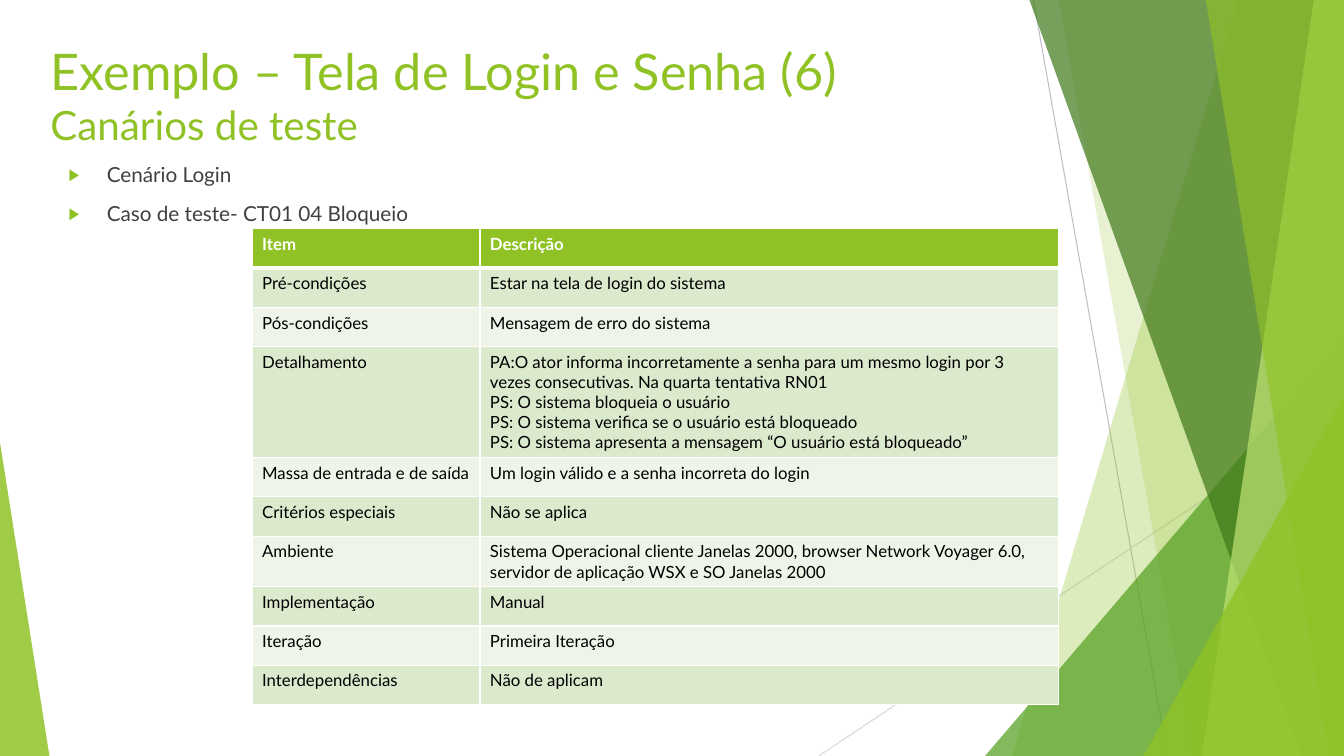
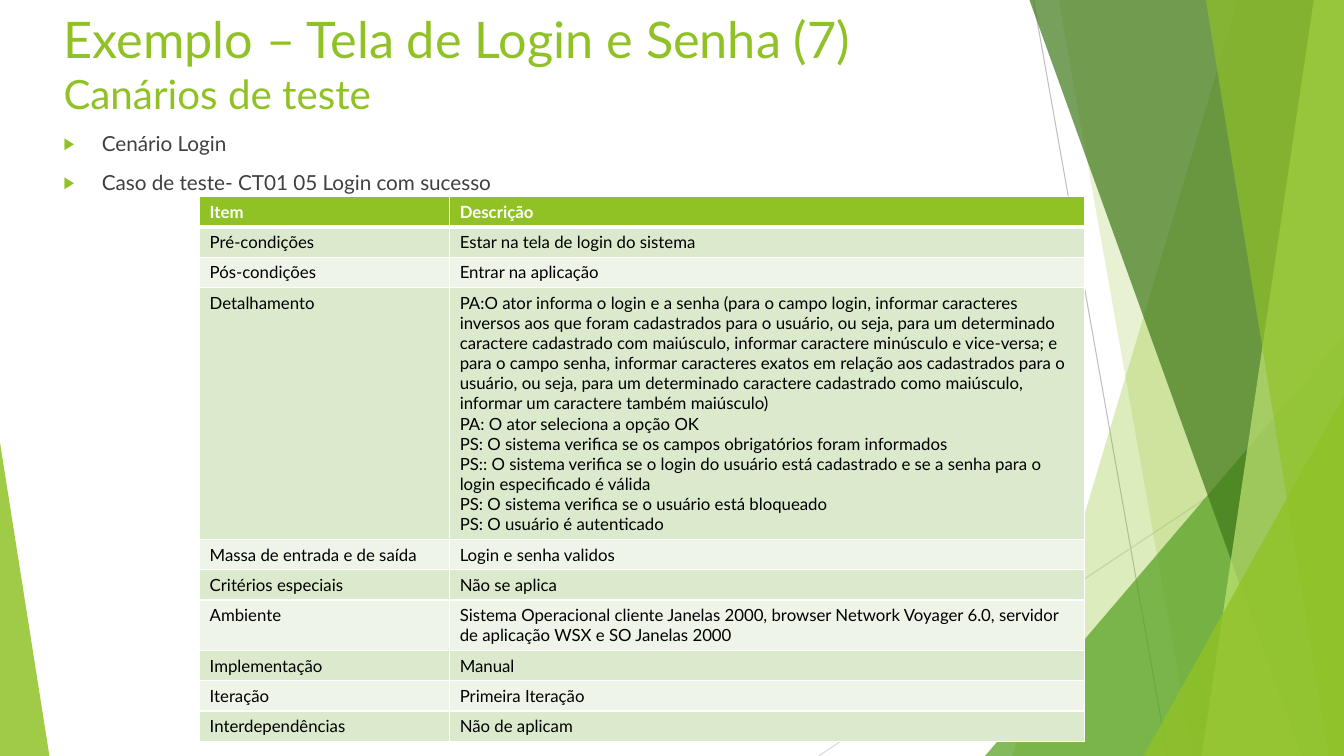
import dataclasses
import typing

import lxml.etree
import pptx
import pptx.dml.color
import pptx.dml.fill
import pptx.enum.shapes
import pptx.enum.text
import pptx.oxml.ns
import pptx.shapes.base
import pptx.shapes.group
import pptx.slide
import pptx.table
import pptx.text.text
import pptx.util

Inches = pptx.util.Inches
Pt = pptx.util.Pt
RGBColor = pptx.dml.color.RGBColor
qn = pptx.oxml.ns.qn

SLIDE_WIDTH, SLIDE_HEIGHT = 13.33, 7.5

LIME = RGBColor(0x90, 0xC2, 0x26)
GREEN = RGBColor(0x54, 0xA0, 0x21)
DARK_GREEN = RGBColor(0x3F, 0x78, 0x19)
PALE_LIME = RGBColor(0xC0, 0xE4, 0x74)
GRAY = RGBColor(0xBF, 0xBF, 0xBF)
LIGHT_GRAY = RGBColor(0xD9, 0xD9, 0xD9)
DARK_GRAY = RGBColor(0x40, 0x40, 0x40)
WHITE = RGBColor(0xFF, 0xFF, 0xFF)
BLACK = RGBColor(0x00, 0x00, 0x00)
ROW_FILLS = (RGBColor(0xEE, 0xF4, 0xE8), RGBColor(0xDB, 0xE9, 0xCD))

# Text formats
TITLE_FORMAT = {"name": "Lato", "size": Pt(36), "color": LIME}
SUBTITLE_FORMAT = TITLE_FORMAT | {"size": Pt(28.8)}
BODY_FORMAT = {"name": "Lato", "size": Pt(14.8), "color": DARK_GRAY}
CELL_FORMAT = {"name": "Lato", "size": Pt(12), "bold": False, "color": BLACK}
HEADER_FORMAT = CELL_FORMAT | {"bold": True, "color": WHITE}


class Box(typing.NamedTuple):
    left: float
    top: float
    width: float
    height: float


@dataclasses.dataclass(frozen=True)
class Ray:
    start: tuple[float, float]
    end: tuple[float, float]
    color: RGBColor


@dataclasses.dataclass(frozen=True)
class Panel:
    """Full-height band from a slanted left edge to the right slide edge."""
    top_left: float
    bottom_left: float
    color: RGBColor
    opacity: int


@dataclasses.dataclass(frozen=True)
class Wedge:
    """Right triangle standing on the bottom slide edge."""
    left: float
    top: float
    width: float
    apex: float
    color: RGBColor
    opacity: int


@dataclasses.dataclass(frozen=True)
class TestCase:
    number: int
    name: str
    title_box: Box
    body_box: Box
    table_left: float
    table_top: float
    column_widths: tuple[float, float]
    row_height: float
    detail_height: float
    postcondition: str
    details: tuple[str, ...]
    test_data: str


RAYS = (
    Ray((10.25, 0), (11.58, SLIDE_HEIGHT), GRAY),
    Ray((SLIDE_WIDTH, 4.03), (8.12, SLIDE_HEIGHT), LIGHT_GRAY),
)
FACETS = (
    Panel(12.28, 10.04, LIME, 30),
    Panel(10.5, 11.83, LIME, 20),
    Wedge(9.77, 3.33, 3.56, 1, GREEN, 72),
    Panel(10.21, 12.91, DARK_GREEN, 70),
    Panel(13.03, 11.92, PALE_LIME, 70),
    Panel(11.96, 13.18, LIME, 65),
    Wedge(11.34, 3.93, 1.99, 1, LIME, 80),
    Wedge(0, 4.39, 0.49, 0, LIME, 85),
)

TEST_CASES = (
    TestCase(
        number=6,
        name="CT01 04 Bloqueio",
        title_box=Box(0.4, 0.31, 11, 1.25),
        body_box=Box(0.58, 1.56, 11.09, 0.7),
        table_left=2.5,
        table_top=2.27,
        column_widths=(2.26, 5.74),
        row_height=0.39,
        detail_height=1.1,
        postcondition="Mensagem de erro do sistema",
        details=(
            "PA:O ator informa incorretamente a senha para um mesmo login por 3 "
            "vezes consecutivas. Na quarta tentativa RN01",
            "PS: O sistema bloqueia o usuário",
            "PS: O sistema verifica se o usuário está bloqueado",
            "PS: O sistema apresenta a mensagem “O usuário está bloqueado”",
        ),
        test_data="Um login válido e a senha incorreta do login",
    ),
    TestCase(
        number=7,
        name="CT01 05 Login com sucesso",
        title_box=Box(0.53, 0, 10.87, 1.25),
        body_box=Box(0.53, 1.25, 11.13, 0.7),
        table_left=1.98,
        table_top=1.95,
        column_widths=(2.48, 6.3),
        row_height=0.3,
        detail_height=2.5,
        postcondition="Entrar na aplicação",
        details=(
            "PA:O ator informa o login e a senha (para o campo login, informar "
            "caracteres inversos aos que foram cadastrados para o usuário, ou seja, "
            "para um determinado caractere cadastrado com maiúsculo, informar "
            "caractere minúsculo e vice-versa; e para o campo senha, informar "
            "caracteres exatos em relação aos cadastrados para o usuário, ou seja, "
            "para um determinado caractere cadastrado como maiúsculo, informar um "
            "caractere também maiúsculo)",
            "PA: O ator seleciona a opção OK",
            "PS: O sistema verifica se os campos obrigatórios foram informados",
            "PS:: O sistema verifica se o login do usuário está cadastrado e se a "
            "senha para o login especificado é válida",
            "PS: O sistema verifica se o usuário está bloqueado",
            "PS: O usuário é autenticado",
        ),
        test_data="Login e senha validos",
    ),
)


def format_font(font: pptx.text.text.Font, values: dict[str, typing.Any]) -> None:
    for name, value in values.items():
        if name == "color":
            font.color.rgb = value
        else:
            setattr(font, name, value)


def place(shape: pptx.shapes.base.BaseShape, box: Box) -> None:
    for name, value in box._asdict().items():
        setattr(shape, name, Inches(value))


def fill_solid(fill: pptx.dml.fill.FillFormat, color: RGBColor) -> None:
    fill.solid()
    fill.fore_color.rgb = color


# Backdrop
def add_ray(group: pptx.shapes.group.GroupShape, ray: Ray) -> None:
    points = [Inches(value) for value in ray.start + ray.end]
    connector = group.shapes.add_connector(
        pptx.enum.shapes.MSO_CONNECTOR.STRAIGHT, *points)
    connector.line.color.rgb = ray.color
    connector.line.width = Pt(0.75)
    lxml.etree.SubElement(connector.element.spPr, qn("a:effectLst"))


def add_facet(group: pptx.shapes.group.GroupShape, facet: Panel | Wedge) -> None:
    if isinstance(facet, Panel):
        outline = group.shapes.build_freeform(Inches(facet.top_left), 0)
        corners = ((SLIDE_WIDTH, 0), (SLIDE_WIDTH, SLIDE_HEIGHT),
                   (facet.bottom_left, SLIDE_HEIGHT))
        outline.add_line_segments([(Inches(x), Inches(y)) for x, y in corners])
        shape = outline.convert_to_shape()
    else:
        box = (facet.left, facet.top, facet.width, SLIDE_HEIGHT - facet.top)
        shape = group.shapes.add_shape(
            pptx.enum.shapes.MSO_SHAPE.ISOSCELES_TRIANGLE, *map(Inches, box))
        shape.adjustments[0] = facet.apex
    shape.shadow.inherit = False
    shape.line.fill.background()
    fill_solid(shape.fill, facet.color)
    color = shape.element.spPr.find(f"{qn('a:solidFill')}/{qn('a:srgbClr')}")
    lxml.etree.SubElement(color, qn("a:alpha"), val=str(facet.opacity * 1000))


def add_backdrop(slide: pptx.slide.Slide) -> None:
    """Draw the facets and move them to the layout, behind its placeholders."""
    group = slide.shapes.add_group_shape()
    for ray in RAYS:
        add_ray(group, ray)
    for facet in FACETS:
        add_facet(group, facet)
    slide.slide_layout.shapes.element.insert(2, group.element)


# Title and list
def set_title(slide: pptx.slide.Slide, case: TestCase) -> None:
    title = slide.shapes.title
    place(title, case.title_box)
    frame = title.text_frame
    frame.word_wrap = True
    frame.auto_size = pptx.enum.text.MSO_AUTO_SIZE.NONE
    frame.vertical_anchor = pptx.enum.text.MSO_ANCHOR.MIDDLE
    paragraph = frame.paragraphs[0]
    paragraph.alignment = pptx.enum.text.PP_ALIGN.LEFT
    heading = paragraph.add_run()
    heading.text = f"Exemplo – Tela de Login e Senha ({case.number})"
    format_font(heading.font, TITLE_FORMAT)
    paragraph.add_line_break()
    subtitle = paragraph.add_run()
    subtitle.text = "Canários de teste"
    format_font(subtitle.font, SUBTITLE_FORMAT)
    # The break takes the heading size, so that it does not stretch the line
    for line_break in title.element.iter(qn("a:br")):
        lxml.etree.SubElement(line_break, qn("a:rPr"), sz="3600")


def add_bullet(paragraph: pptx.text.text._Paragraph) -> None:
    properties = paragraph._p.get_or_add_pPr()
    properties.set("marL", str(Inches(0.38)))
    properties.set("indent", str(Inches(-0.38)))
    color = lxml.etree.SubElement(properties, qn("a:buClr"))
    lxml.etree.SubElement(color, qn("a:srgbClr"), val=str(LIME))
    lxml.etree.SubElement(properties, qn("a:buSzPct"), val="80000")
    lxml.etree.SubElement(properties, qn("a:buChar"), char="▶")


def set_body(slide: pptx.slide.Slide, case: TestCase) -> None:
    body = slide.placeholders[1]
    place(body, case.body_box)
    frame = body.text_frame
    frame.text = f"Cenário Login\nCaso de teste- {case.name}"
    frame.word_wrap = True
    frame.auto_size = pptx.enum.text.MSO_AUTO_SIZE.NONE
    frame.vertical_anchor = pptx.enum.text.MSO_ANCHOR.TOP
    for paragraph in frame.paragraphs:
        paragraph.space_before = Pt(10)
        add_bullet(paragraph)
        format_font(paragraph.runs[0].font, BODY_FORMAT)


# Test case table
def table_rows(case: TestCase) -> list[tuple[str, str, float]]:
    height = case.row_height
    return [
        ("Item", "Descrição", height),
        ("Pré-condições", "Estar na tela de login do sistema", height),
        ("Pós-condições", case.postcondition, height),
        ("Detalhamento", "\n".join(case.details), case.detail_height),
        ("Massa de entrada e de saída", case.test_data, height),
        ("Critérios especiais", "Não se aplica", height),
        ("Ambiente", "Sistema Operacional cliente Janelas 2000, browser Network "
         "Voyager 6.0, servidor de aplicação WSX e SO Janelas 2000", 0.5),
        ("Implementação", "Manual", height),
        ("Iteração", "Primeira Iteração", height),
        ("Interdependências", "Não de aplicam", height),
    ]


def style_cell(cell: pptx.table._Cell, row_index: int) -> None:
    is_header = row_index == 0
    widths = {"L": 1, "R": 1, "T": 3 if row_index == 1 else 1,
              "B": 3 if is_header else 1}
    properties = cell._tc.get_or_add_tcPr()
    for side, width in widths.items():
        border = lxml.etree.SubElement(
            properties, qn(f"a:ln{side}"), w=str(Pt(width)))
        fill = lxml.etree.SubElement(border, qn("a:solidFill"))
        lxml.etree.SubElement(fill, qn("a:srgbClr"), val=str(WHITE))
    fill_solid(cell.fill, LIME if is_header else ROW_FILLS[row_index % 2])
    for paragraph in cell.text_frame.paragraphs:
        for run in paragraph.runs:
            format_font(run.font, HEADER_FORMAT if is_header else CELL_FORMAT)


def add_case_table(slide: pptx.slide.Slide, case: TestCase) -> None:
    rows = table_rows(case)
    box = (case.table_left, case.table_top, sum(case.column_widths),
           sum(height for _, _, height in rows))
    table = slide.shapes.add_table(len(rows), 2, *map(Inches, box)).table
    for column, width in zip(table.columns, case.column_widths):
        column.width = Inches(width)
    for row_index, (item, description, height) in enumerate(rows):
        row = table.rows[row_index]
        row.height = Inches(height)
        for cell, text in zip(row.cells, (item, description)):
            cell.text = text
            style_cell(cell, row_index)


def main() -> None:
    presentation = pptx.Presentation()
    presentation.slide_width = Inches(SLIDE_WIDTH)
    presentation.slide_height = Inches(SLIDE_HEIGHT)
    layout = presentation.slide_layouts[1]
    for case in TEST_CASES:
        slide = presentation.slides.add_slide(layout)
        set_title(slide, case)
        set_body(slide, case)
        add_case_table(slide, case)
    add_backdrop(presentation.slides[0])
    presentation.save("out.pptx")


if __name__ == "__main__":
    main()
